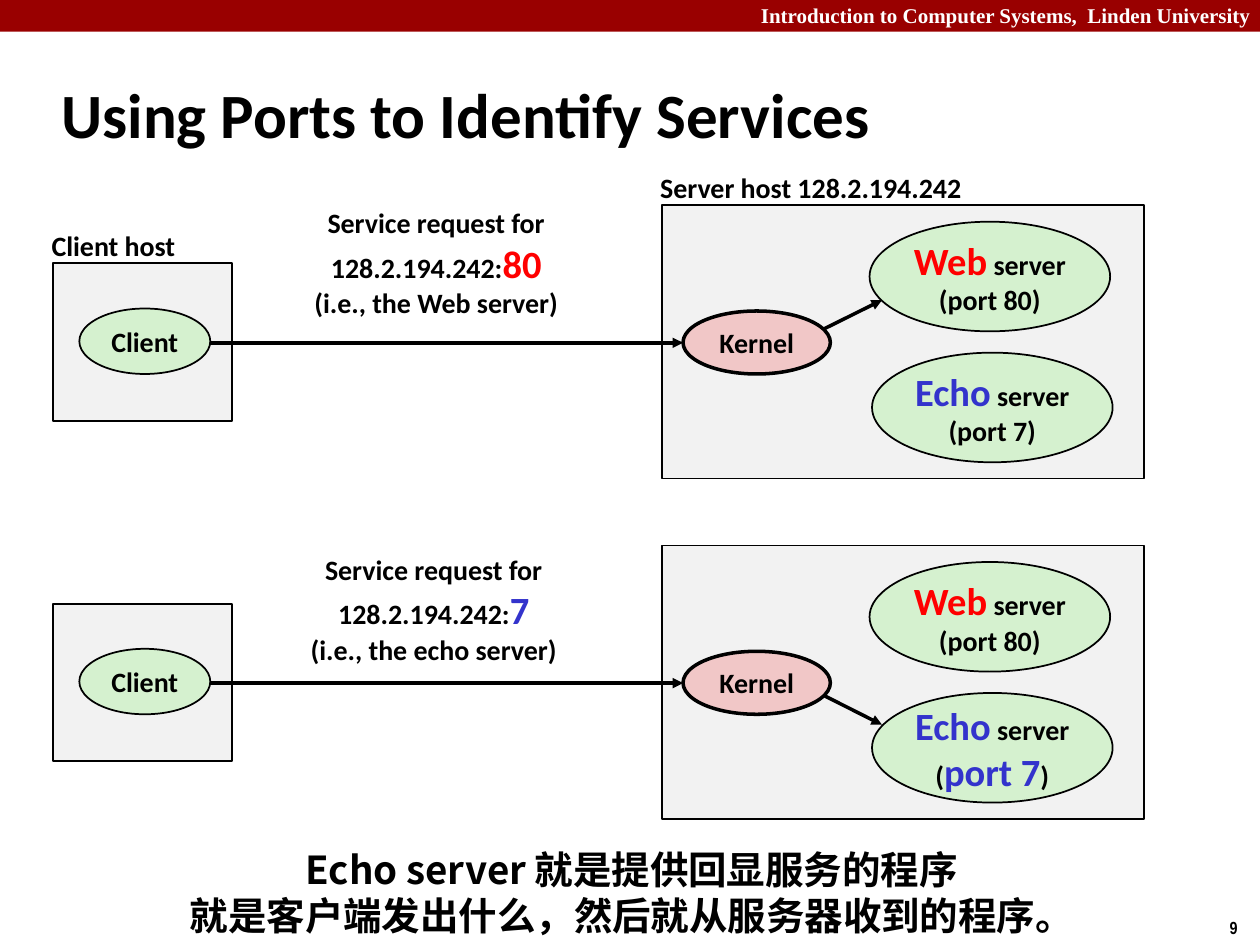
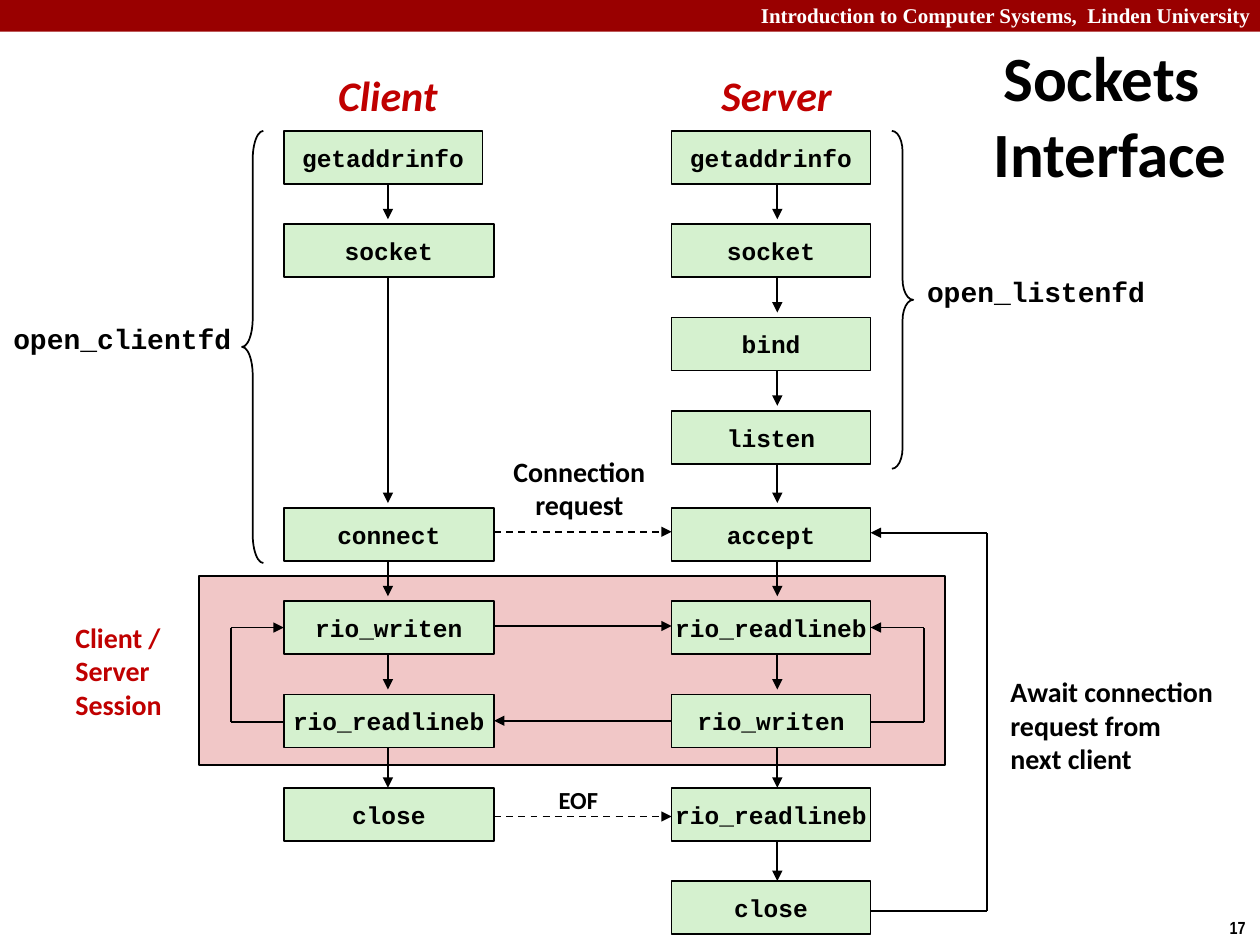
"""Build two networking slides: ports that identify services, and the sockets interface."""
from lxml.etree import SubElement
from pptx import Presentation
from pptx.dml.color import RGBColor
from pptx.enum.dml import MSO_LINE
from pptx.enum.shapes import MSO_CONNECTOR, MSO_SHAPE
from pptx.enum.text import MSO_ANCHOR, PP_ALIGN
from pptx.oxml.ns import qn
from pptx.util import Cm, Pt

COLORS = {
    "band": "990000",
    "ink": "000000",
    "paper": "FFFFFF",
    "host": "F2F2F2",
    "green": "D5F1CF",
    "pink": "F1C7C7",
    "heading": "C00000",
    "web": "FF0000",
    "echo": "3333CC",
}
MONO = "Courier New"


def add_block(slide, box, lines=(), preset=None, fill=None, border=1, size=16, font="Calibri",
              color="ink", align=PP_ALIGN.CENTER, wrap=False, italic=False):
    """Add a preset shape or text box; a line is a string or a list of (text, size, color) runs."""
    lengths = [Cm(value) for value in box]
    if preset is None:
        shape = slide.shapes.add_textbox(*lengths)
    else:
        shape = slide.shapes.add_shape(preset, *lengths)
        shape.shadow.inherit = False
        if fill:
            shape.fill.solid()
            shape.fill.fore_color.rgb = RGBColor.from_string(COLORS[fill])
        else:
            shape.fill.background()
        if border:
            shape.line.color.rgb = RGBColor.from_string(COLORS["ink"])
            shape.line.width = Pt(border)
        else:
            shape.line.fill.background()
    text_frame = shape.text_frame
    text_frame.word_wrap = wrap
    text_frame.vertical_anchor = MSO_ANCHOR.MIDDLE
    for index, line in enumerate(lines):
        paragraph = text_frame.add_paragraph() if index else text_frame.paragraphs[0]
        paragraph.alignment = align
        for text, run_size, run_color in [(line, size, color)] if isinstance(line, str) else line:
            run = paragraph.add_run()
            run.text = text
            run.font.size = Pt(run_size)
            run.font.name = font
            run.font.bold = True
            run.font.italic = italic
            run.font.color.rgb = RGBColor.from_string(COLORS[run_color])
            run.font._element.find(qn("a:latin")).addnext(
                SubElement(run.font._element, qn("a:ea"), typeface=font))
    return shape


def add_arrow(slide, *points, width=1, dashed=False):
    """Join the points with straight lines and put an arrowhead on the last one."""
    for start, end in zip(points, points[1:]):
        connector = slide.shapes.add_connector(
            MSO_CONNECTOR.STRAIGHT, *[Cm(value) for value in start + end])
        connector.line.color.rgb = RGBColor.from_string(COLORS["ink"])
        connector.line.width = Pt(width)
        if dashed:
            connector.line.dash_style = MSO_LINE.DASH
        if end == points[-1]:
            SubElement(connector.line._get_or_add_ln(), qn("a:tailEnd"), type="triangle")
        SubElement(connector._element.spPr, qn("a:effectLst"))


presentation = Presentation()
presentation.slide_width = Cm(25.4)
presentation.slide_height = Cm(19.05)

slides = []
for title, title_box, title_align, number in (
    ("Using Ports to Identify Services", (0.99, 1.22, 21.08, 2.11), PP_ALIGN.LEFT, "9"),
    ("Sockets Interface", (19.25, 0.64, 5.92, 3.33), PP_ALIGN.CENTER, "17"),
):
    slide = presentation.slides.add_slide(presentation.slide_layouts[6])
    add_block(slide, (0, 0, 25.4, 0.64), preset=MSO_SHAPE.RECTANGLE, fill="band", border=0)
    add_block(slide, (10.36, -0.08, 15.21, 0.76),
              ["Introduction to Computer Systems,  Linden University "], size=12,
              font="Times New Roman", color="paper", align=PP_ALIGN.RIGHT, wrap=True)
    add_block(slide, (24.54, 18.36, 0.86, 0.69), [number], size=10, font="Arial Narrow",
              align=PP_ALIGN.LEFT)
    heading = add_block(slide, title_box, [title], size=36, align=title_align, wrap=True)
    properties = heading.text_frame.paragraphs[0]._p.get_or_add_pPr()
    properties.set("marL", str(Cm(0.33)))
    properties.set("indent", str(-Cm(0.33)))
    slides.append(slide)

ports_slide, sockets_slide = slides

plain_port = ["(port 7)"]
marked_port = [[("(", 16, "ink"), ("port 7", 22, "echo"), (")", 16, "ink")]]
requests = (
    (0, (5.11, 4.01), "80", "web", "Web", 6.05, 6.68, plain_port),
    (6.86, (5.06, 11), "7", "echo", "echo", 7.75, 7.11, marked_port),
)
for offset, request_corner, port, port_color, service, target, source, echo_port in requests:
    add_block(ports_slide, (1.07, 5.31 + offset, 3.61, 3.18), preset=MSO_SHAPE.RECTANGLE,
              fill="host")
    add_block(ports_slide, (13.34, 4.14 + offset, 9.73, 5.51), preset=MSO_SHAPE.RECTANGLE,
              fill="host")
    add_block(ports_slide, (17.53, 4.47 + offset, 4.85, 2.21),
              [[("Web", 22, "web"), (" server", 16, "ink")], "(port 80)"],
              MSO_SHAPE.OVAL, "green")
    add_block(ports_slide, (17.58, 7.11 + offset, 4.85, 2.21),
              [[("Echo", 22, "echo"), (" server", 16, "ink")]] + echo_port,
              MSO_SHAPE.OVAL, "green")
    add_block(ports_slide, request_corner + (7.37, 2.57),
              ["Service request for",
               [("128.2.194.242:", 16, "ink"), (port, 22, port_color)],
               f"(i.e., the {service} server)"], wrap=True)
    add_arrow(ports_slide, (4.24, 6.91 + offset), (13.77, 6.91 + offset), width=2)
    add_arrow(ports_slide, (16.51, source + offset), (17.78, target + offset), width=2)
    add_block(ports_slide, (13.77, 6.27 + offset, 2.97, 1.27), ["Kernel"], MSO_SHAPE.OVAL,
              "pink", border=2)
    add_block(ports_slide, (1.6, 6.22 + offset, 2.64, 1.32), ["Client"], MSO_SHAPE.OVAL, "green")

add_block(ports_slide, (0.79, 4.47, 3.02, 0.94), ["Client host"], align=PP_ALIGN.LEFT)
add_block(ports_slide, (13.06, 3.3, 6.68, 0.94), ["Server host 128.2.194.242"],
          align=PP_ALIGN.LEFT)
summary = add_block(ports_slide, (0.43, 16.92, 24.61, 2.13),
                    ["Echo server 就是提供回显服务的程序",
                     "就是客户端发出什么，然后就从服务器收到的程序。"],
                    size=22, font="Noto Sans CJK SC", wrap=True)
for paragraph in summary.text_frame.paragraphs:
    paragraph.line_spacing = Pt(26.6)

row_tops = [2.64 + 1.88 * row + (0.08 if row > 3 else 0) for row in range(9)]
client_left, client_right = 5.72, 9.96
server_left, server_right = 13.54, 17.55
client_calls = {0: "getaddrinfo", 1: "socket", 4: "connect", 5: "rio_writen",
                6: "rio_readlineb", 7: "close"}
server_calls = dict(enumerate(["getaddrinfo", "socket", "bind", "listen", "accept",
                               "rio_readlineb", "rio_writen", "rio_readlineb", "close"]))

add_block(sockets_slide, (4.01, 11.61, 15.04, 3.81), preset=MSO_SHAPE.RECTANGLE, fill="pink")

for calls, left, right, arrow_x in (
    (client_calls, client_left, client_right, 7.82),
    (server_calls, server_left, server_right, 15.67),
):
    rows = list(calls)
    for row, next_row in zip(rows, rows[1:]):
        gap = 0.1 if row < 6 else 0
        add_arrow(sockets_slide, (arrow_x, row_tops[row] + 0.94),
                  (arrow_x, row_tops[next_row] - gap))
    for row, call in calls.items():
        width = right - left if row else 4.01
        add_block(sockets_slide, (left, row_tops[row], width, 1.07), [call],
                  MSO_SHAPE.RECTANGLE, "green", size=14, font=MONO)

for start, end, level, dashed in (
    (client_right, server_left, 10.72, True),
    (client_right, server_left, 12.62, False),
    (server_left, client_right, 14.53, False),
    (client_right, server_left, 16.46, True),
):
    add_arrow(sockets_slide, (start, level), (end, level), dashed=dashed)

for edge, turn, bottom, top in (
    (server_right, 18.62, 14.55, 12.65),
    (client_left, 4.65, 14.55, 12.65),
    (server_right, 19.89, 18.36, 10.74),
):
    add_arrow(sockets_slide, (edge, bottom), (turn, bottom), (turn, top), (edge, top))

for preset, left, height, curve in (
    (MSO_SHAPE.RIGHT_BRACE, 17.98, 6.81, 0.96),
    (MSO_SHAPE.LEFT_BRACE, 4.88, 8.71, 1.33),
):
    brace = add_block(sockets_slide, (left, row_tops[0], 0.43, height), preset=preset)
    brace.adjustments[0] = curve

for name, left, width in (("Client", 6.55, 2.54), ("Server", 14.27, 2.77)):
    add_block(sockets_slide, (left, 1.27, width, 1.27), [name], size=24, color="heading",
              italic=True)
for name, left, top in (("open_listenfd", 18.42, 5.41), ("open_clientfd", 0, 6.35)):
    add_block(sockets_slide, (left, top, 4.93, 0.94), [name], font=MONO)

add_block(sockets_slide, (1.27, 12.37, 2.34, 2.29), ["Client / Server", "Session"],
          color="heading", align=PP_ALIGN.LEFT, wrap=True)
add_block(sockets_slide, (10.08, 9.02, 3.2, 1.63), ["Connection", "request"])
add_block(sockets_slide, (11, 15.7, 1.32, 0.86), ["EOF"], size=14)
add_block(sockets_slide, (20.12, 13.46, 4.65, 2.31),
          ["Await connection", "request from", "next client"], align=PP_ALIGN.LEFT)

presentation.save("out.pptx")
